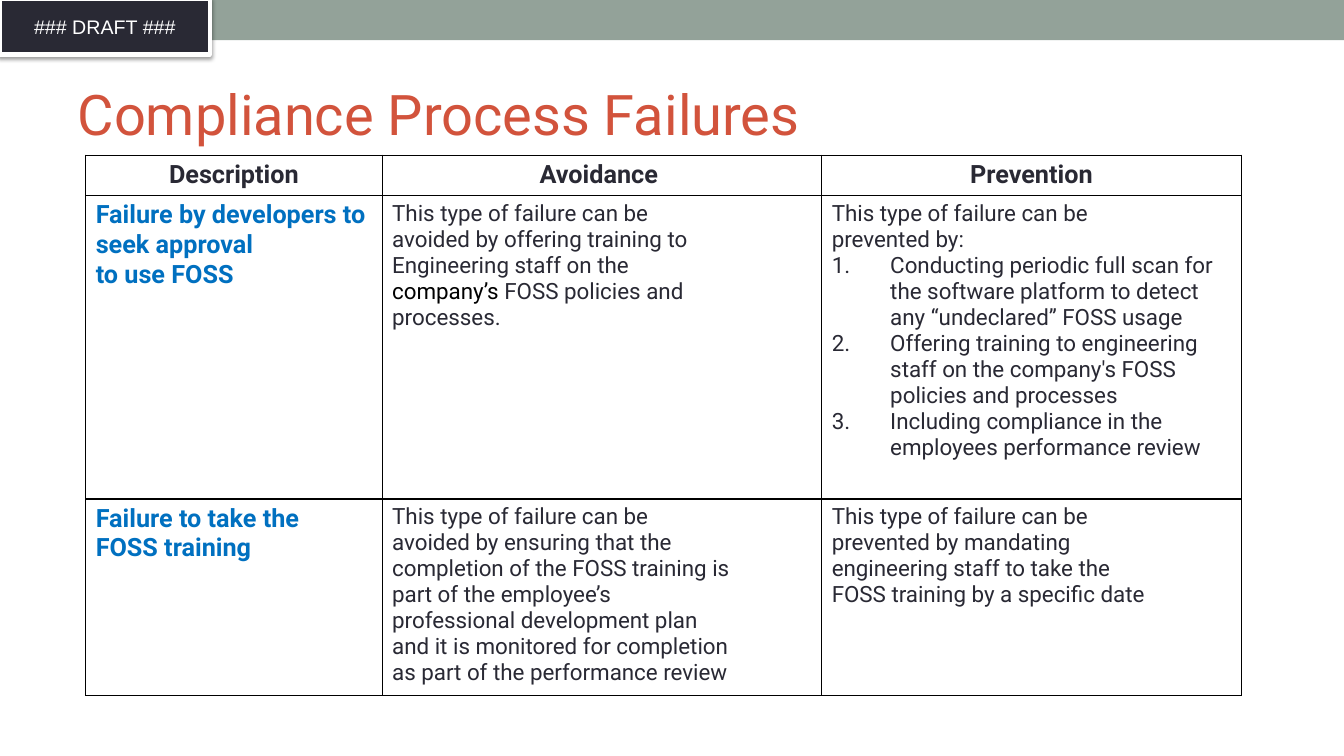
import pptx
import pptx.util
import pptx.dml.color
import pptx.enum.shapes
import pptx.enum.text
import pptx.oxml
import pptx.oxml.ns

Inches, Pt = pptx.util.Inches, pptx.util.Pt
ALIGN = pptx.enum.text.PP_ALIGN
MIDDLE = pptx.enum.text.MSO_ANCHOR.MIDDLE
NS = pptx.oxml.ns.nsdecls("a")

COLORS = {
    "band": "93A299", "ink": "292934", "title": "D2533C",
    "topic": "0070C0", "white": "FFFFFF", "black": "000000",
}

WIDTHS = [2.94, 4.36, 4.16]
HEIGHTS = [0.4, 3.01, 1.95]
HEADS = ["Description", "Avoidance ", "Prevention"]
ROWS = [
    [
        ["Failure by developers to seek approval", "to use FOSS"],
        ["This type of failure can be", "avoided by offering training to",
         "Engineering staff on the", "company’s ", "processes."],
        ["This type of failure can be", "prevented by:",
         "Conducting periodic full scan for the software platform to detect "
         "any “undeclared” FOSS usage",
         "Offering training to engineering staff on the company's FOSS "
         "policies and processes",
         "Including compliance in the employees performance review"],
    ],
    [
        ["Failure to take the", "FOSS training"],
        ["This type of failure can be", "avoided by ensuring that the",
         "completion of the FOSS training is", "part of the employee’s",
         "professional development plan",
         "and it is monitored for completion",
         "as part of the performance review"],
        ["This type of failure can be", "prevented by mandating",
         "engineering staff to take the",
         "FOSS training by a specific date"],
    ],
]


def color(name):
    return pptx.dml.color.RGBColor.from_string(COLORS[name])


class Deck:
    def __init__(self):
        self.font = "Roboto"
        self.show = pptx.Presentation()
        self.show.slide_width = Inches(13.33)
        self.show.slide_height = Inches(7.5)
        self.slide = self.show.slides.add_slide(self.show.slide_layouts[5])

    def style(self, run, size, tone, bold=False, font=None):
        run.font.size = Pt(size)
        run.font.name = font or self.font
        run.font.bold = bold
        run.font.color.rgb = color(tone)

    def title(self, text, left, top, width, height):
        box = self.slide.shapes.title
        box.left, box.top = Inches(left), Inches(top)
        box.width, box.height = Inches(width), Inches(height)
        box.text_frame.text = text
        box.text_frame.vertical_anchor = MIDDLE
        par = box.text_frame.paragraphs[0]
        par.alignment = ALIGN.LEFT
        self.style(par.runs[0], 40, "title")

    def rect(self, left, top, width, height, tone):
        box = self.slide.shapes.add_shape(
            pptx.enum.shapes.MSO_SHAPE.RECTANGLE,
            Inches(left), Inches(top), Inches(width), Inches(height))
        box.fill.solid()
        box.fill.fore_color.rgb = color(tone)
        box.line.fill.background()
        box.shadow.inherit = False
        return box

    def badge(self, text, left, top, width, height):
        """Add a white-framed label with a soft shadow below it."""
        box = self.rect(left, top, width, height, "ink")
        box.line.color.rgb = color("white")
        box.line.width = Pt(3)
        effect = box._element.spPr.find(pptx.oxml.ns.qn("a:effectLst"))
        effect.append(pptx.oxml.parse_xml(
            f'<a:outerShdw {NS} blurRad="{Pt(3.1)}" dist="{Pt(1.6)}" '
            f'dir="5400000" rotWithShape="0"><a:srgbClr val="{COLORS["black"]}">'
            '<a:alpha val="38000"/></a:srgbClr></a:outerShdw>'))
        box.text_frame.text = text
        box.text_frame.vertical_anchor = MIDDLE
        par = box.text_frame.paragraphs[0]
        par.alignment = ALIGN.CENTER
        self.style(par.runs[0], 14, "white", font="Arial")

    def table(self, left, top, widths, heights):
        grid = self.slide.shapes.add_table(
            len(heights), len(widths), Inches(left), Inches(top),
            Inches(sum(widths)), Inches(sum(heights))).table
        grid.first_row = grid.horz_banding = False
        for col, width in zip(grid.columns, widths):
            col.width = Inches(width)
        for row, height in zip(grid.rows, heights):
            row.height = Inches(height)
        for cell in grid.iter_cells():
            cell.fill.background()
            self.frame(cell)
        return grid

    def frame(self, cell):
        """Draw a thin black border on all four sides of a cell."""
        for spot, side in enumerate("LRTB"):
            cell._tc.get_or_add_tcPr().insert(spot, pptx.oxml.parse_xml(
                f'<a:ln{side} {NS} w="{Pt(1)}"><a:solidFill>'
                f'<a:srgbClr val="{COLORS["black"]}"/></a:solidFill></a:ln{side}>'))

    def entry(self, cell, lines, size, tone, bold=False, align=ALIGN.LEFT,
              indent=0):
        """Fill a table cell with one paragraph per line."""
        cell.text_frame.text = "\n".join(lines)
        for par in cell.text_frame.paragraphs:
            par.alignment = align
            self.hang(par, indent)
            self.style(par.runs[0], size, tone, bold)

    def hang(self, par, indent):
        """Indent a paragraph, with its first line at the left edge."""
        props = par._p.get_or_add_pPr()
        props.set("marL", str(Inches(indent)))
        props.set("indent", str(-Inches(indent)))

    def number(self, par):
        props = par._p.get_or_add_pPr()
        for item in (
                f'<a:buClr {NS}><a:srgbClr val="{COLORS["ink"]}"/></a:buClr>',
                f'<a:buFont {NS} typeface="{self.font}"/>',
                f'<a:buAutoNum {NS} type="arabicPeriod"/>'):
            props.append(pptx.oxml.parse_xml(item))


def main():
    deck = Deck()
    deck.rect(0, 0, 13.33, 0.4, "band")
    deck.badge("### DRAFT ###", 0, -0.01, 2.08, 0.55)
    deck.title("Compliance Process Failures", 0.67, 0.58, 12, 1.08)

    grid = deck.table(0.85, 1.54, WIDTHS, HEIGHTS)
    for col, head in enumerate(HEADS):
        deck.entry(grid.cell(0, col), [head], 18, "ink", True,
                   ALIGN.CENTER, 0.38)
    for row, (topic, *details) in enumerate(ROWS, 1):
        deck.entry(grid.cell(row, 0), topic, 18, "topic", True)
        for col, lines in enumerate(details, 1):
            deck.entry(grid.cell(row, col), lines, 16, "ink", indent=0.38)

    policy = grid.cell(1, 1).text_frame.paragraphs[3]
    policy.runs[0].font.color.rgb = color("black")
    rest = policy.add_run()
    rest.text = "FOSS policies and"
    deck.style(rest, 16, "ink")

    steps = grid.cell(1, 2).text_frame.paragraphs
    for par in steps:
        deck.hang(par, 0.58)
    for par in steps[2:]:
        deck.number(par)

    deck.show.save("out.pptx")


if __name__ == "__main__":
    main()
